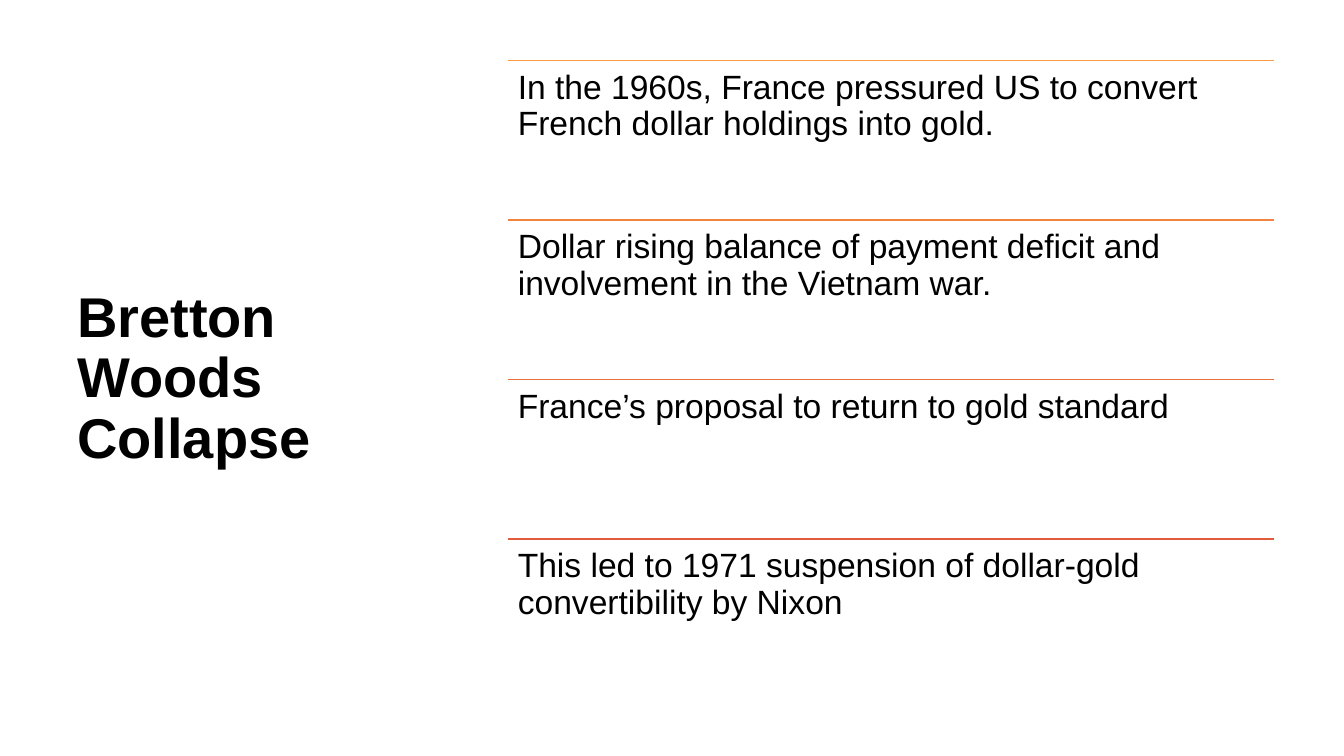
from pptx import Presentation
from pptx.dml.color import RGBColor
from pptx.enum.shapes import MSO_CONNECTOR as Connector
from pptx.enum.text import MSO_ANCHOR as Anchor, MSO_AUTO_SIZE as AutoSize, PP_ALIGN as Align
from pptx.oxml.ns import qn
from pptx.util import Cm, Pt
from lxml.etree import SubElement

TITLE = "Bretton Woods Collapse"
EVENTS = [
    ("In the 1960s, France pressured US to convert French dollar holdings into gold.", "FA9A42"),
    ("Dollar rising balance of payment deficit and involvement in the Vietnam war.", "F28440"),
    ("France’s proposal to return to gold standard", "EA6F3E"),
    ("This led to 1971 suspension of dollar-gold convertibility by Nixon", "E15C3D"),
]
TOP, ROW_HEIGHT = 1.52, 4.02
LIST_LEFT, LIST_WIDTH = 12.8, 19.3
INSET = Cm(0.25)
FRAME_FORMAT = {
    "word_wrap": True, "auto_size": AutoSize.NONE,
    "margin_left": INSET, "margin_right": INSET,
    "margin_top": INSET, "margin_bottom": INSET,
}
TITLE_FONT = {"name": "Arial", "size": Pt(40), "bold": True}
EVENT_FONT = {"name": "Arial", "size": Pt(24), "bold": False}


def color(value):
    return RGBColor.from_string(value)


def set_attributes(target, values):
    for name, value in values.items():
        setattr(target, name, value)


def write_text(shape, text, font, anchor):
    frame = shape.text_frame
    set_attributes(frame, {**FRAME_FORMAT, "vertical_anchor": anchor})
    paragraph = frame.paragraphs[0]
    set_attributes(paragraph, {"alignment": Align.LEFT, "line_spacing": 0.9})
    run = paragraph.add_run()
    run.text = text
    set_attributes(run.font, font)
    run.font.color.rgb = color("000000")


def add_title(slide, text):
    shape = slide.shapes.title
    set_attributes(shape, {
        "left": Cm(1.7), "top": Cm(TOP),
        "width": Cm(9.7), "height": Cm(4 * ROW_HEIGHT),
    })
    write_text(shape, text, TITLE_FONT, Anchor.MIDDLE)


def add_rule(slide, top, line_color):
    rule = slide.shapes.add_connector(
        Connector.STRAIGHT, Cm(LIST_LEFT), Cm(top), Cm(LIST_LEFT + LIST_WIDTH), Cm(top))
    rule.line.width = Pt(1)
    rule.line.color.rgb = color(line_color)
    SubElement(rule._element.spPr, qn("a:effectLst"))


def add_event(slide, top, text):
    box = slide.shapes.add_textbox(Cm(LIST_LEFT), Cm(top), Cm(LIST_WIDTH), Cm(ROW_HEIGHT))
    write_text(box, text, EVENT_FONT, Anchor.TOP)


def main():
    """Build the slide with its title and ruled list of events."""
    presentation = Presentation()
    set_attributes(presentation, {"slide_width": Cm(33.87), "slide_height": Cm(19.05)})
    slide = presentation.slides.add_slide(presentation.slide_layouts.get_by_name("Title Only"))
    add_title(slide, TITLE)
    for row, (text, line_color) in enumerate(EVENTS):
        top = TOP + row * ROW_HEIGHT
        add_rule(slide, top, line_color)
        add_event(slide, top, text)
    presentation.save("out.pptx")


if __name__ == "__main__":
    main()
